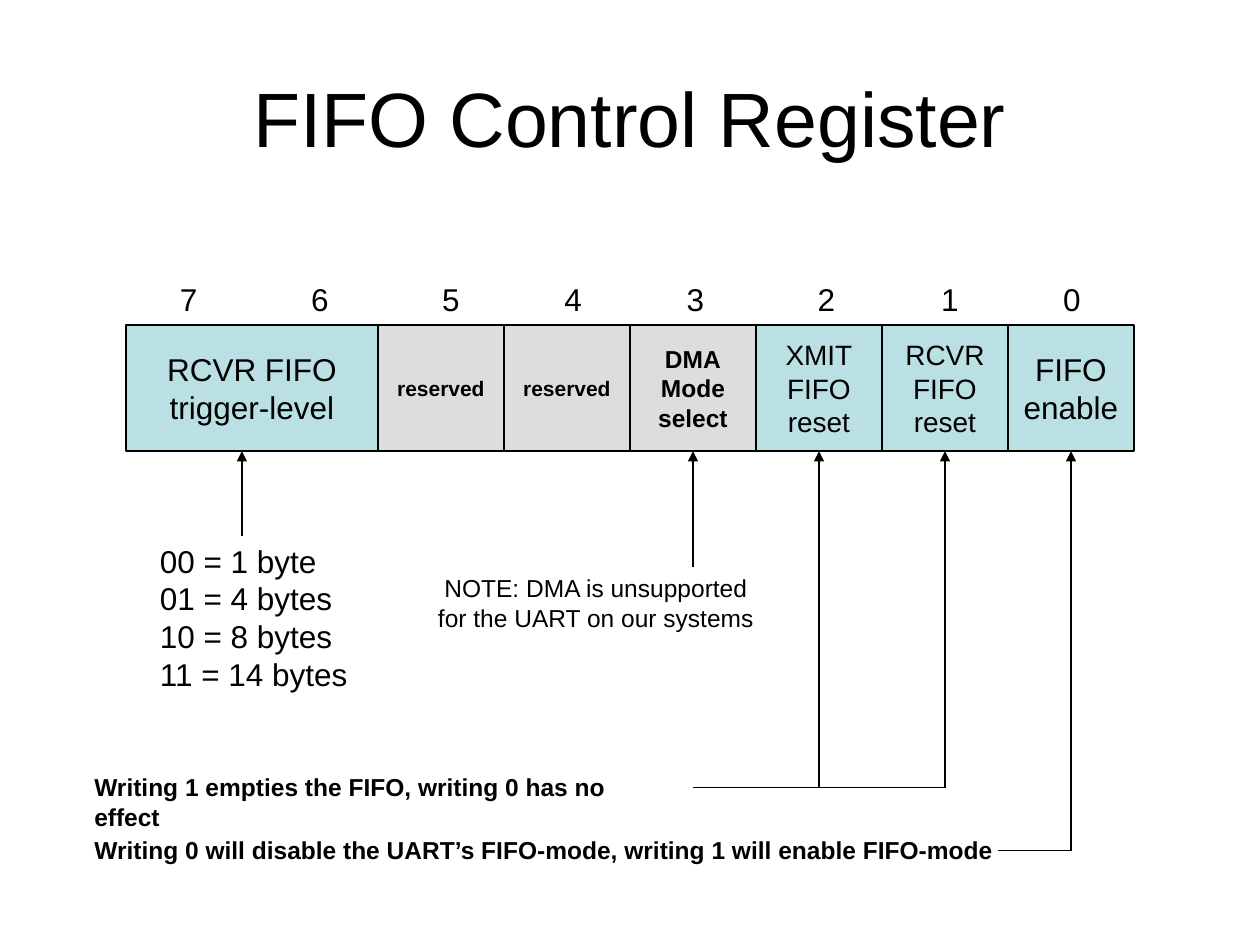
from pptx import Presentation
from pptx.dml.color import RGBColor
from pptx.enum.shapes import MSO_CONNECTOR as Conn, MSO_SHAPE as Geo
from pptx.enum.text import MSO_ANCHOR as Anchor, PP_ALIGN as Align
from pptx.oxml.ns import qn
from pptx.util import Inches, Pt
from lxml.etree import SubElement

BLACK = RGBColor(0x00, 0x00, 0x00)
TEAL = RGBColor(0xBB, 0xE0, 0xE3)
GRAY = RGBColor(0xDD, 0xDD, 0xDD)
TOP, BASE = 2.58, 3.58

deck = Presentation()
deck.slide_width, deck.slide_height = Inches(10), Inches(7.5)
slide = deck.slides.add_slide(deck.slide_layouts[6])
shapes = slide.shapes


def write(text, box=None, at=None, size=18, bold=False, align=Align.LEFT,
          anchor=Anchor.TOP, wrap=False, tabs=()):
    if box is None:
        box = shapes.add_textbox(*[Inches(n) for n in at])
    frame = box.text_frame
    frame.word_wrap = wrap
    frame.vertical_anchor = anchor
    frame.text = text
    for para in frame.paragraphs:
        para.alignment = align
        if tabs:
            stops = SubElement(para._p.get_or_add_pPr(), qn("a:tabLst"))
            for stop in tabs:
                SubElement(stops, qn("a:tab"), pos=str(Inches(stop)), algn="l")
        font = para.font
        font.name, font.size, font.bold = "Arial", Pt(size), bold
        font.color.rgb = BLACK


def wire(x1, y1, x2, y2, arrow=False, field=None):
    line = shapes.add_connector(
        Conn.STRAIGHT, Inches(x1), Inches(y1), Inches(x2), Inches(y2))
    line.line.color.rgb = BLACK
    line.line.width = Pt(0.75)
    if arrow:
        SubElement(line.line._get_or_add_ln(), qn("a:tailEnd"), type="triangle")
    SubElement(line._element.spPr, qn("a:effectLst"))
    if field is not None:
        line.end_connect(field, 2)


write("FIFO Control Register", at=(0.5, 0.3, 9, 1.25), size=44,
      align=Align.CENTER, anchor=Anchor.MIDDLE, wrap=True)

fields = [
    (1, 2, TEAL, "RCVR FIFO\ntrigger-level", 18),
    (3, 1, GRAY, "reserved", 12),
    (4, 1, GRAY, "reserved", 12),
    (5, 1, GRAY, "DMA\nMode\nselect", 14),
    (6, 1, TEAL, "XMIT\nFIFO\nreset", 16),
    (7, 1, TEAL, "RCVR\nFIFO\nreset", 16),
    (8, 1, TEAL, "FIFO\nenable", 18),
]
cells = {}
for left, width, fill, label, size in fields:
    cell = shapes.add_shape(
        Geo.RECTANGLE, Inches(left), Inches(TOP), Inches(width), Inches(1))
    cell.shadow.inherit = False
    cell.fill.solid()
    cell.fill.fore_color.rgb = fill
    cell.line.color.rgb = BLACK
    cell.line.width = Pt(0.75)
    write(label, box=cell, size=size, bold=fill == GRAY,
          align=Align.CENTER, anchor=Anchor.MIDDLE)
    cells[left] = cell

write("7\t6\t5\t4\t3\t2\t1\t0", at=(1.33, 2.17, 7.35, 0.4), wrap=True,
      tabs=(1.04, 2.08, 3.05, 4.02, 5.06, 6.04, 7.01))

write("00 = 1 byte\n01 = 4 bytes\n10 = 8 bytes\n11 = 14 bytes",
      at=(1.17, 4.25, 1.71, 1.3))
write("NOTE: DMA is unsupported\nfor the UART on our systems",
      at=(3.33, 4.5, 2.8, 0.57), size=14, align=Align.CENTER)
write("Writing 1 empties the FIFO, writing 0 has no effect",
      at=(0.65, 6.08, 4.83, 0.34), size=14, bold=True)
write("Writing 0 will disable the UART’s FIFO-mode, writing 1 will enable FIFO-mode",
      at=(0.65, 6.58, 7.35, 0.34), size=14, bold=True)

wire(1.92, 4.25, 1.92, BASE, arrow=True)
for left, start in ((5, 4.5), (6, 6.25), (7, 6.25), (8, 6.75)):
    mid = left + 0.5
    wire(mid, start, mid, BASE, arrow=True, field=cells[left])
wire(5.5, 6.25, 7.5, 6.25)
wire(7.92, 6.75, 8.5, 6.75)

deck.save("out.pptx")
